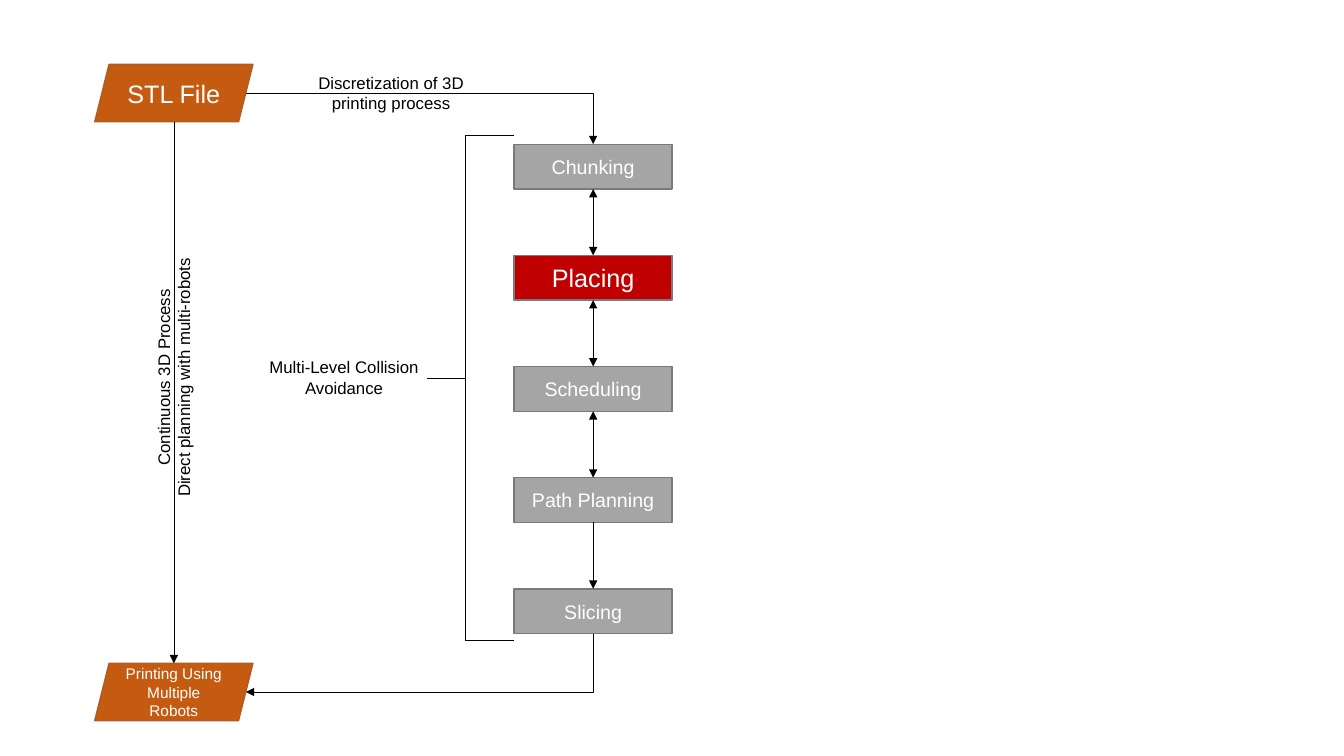
from pptx import Presentation
from pptx.dml.color import RGBColor
from pptx.enum.shapes import MSO_CONNECTOR, MSO_SHAPE
from pptx.enum.text import MSO_ANCHOR, MSO_AUTO_SIZE, PP_ALIGN
from pptx.oxml.ns import qn
from pptx.util import Pt
from lxml.etree import SubElement

HUES = {"orange": "C55A11", "rust": "AF5C24", "gray": "A5A5A5",
        "edge": "7A7A7A", "red": "C00000", "white": "FFFFFF", "black": "000000"}


def write(shape, text, size, hue):
    frame = shape.text_frame
    frame.word_wrap = True
    frame.text = text
    for para in frame.paragraphs:
        para.alignment = PP_ALIGN.CENTER
        for run in para.runs:
            run.font.size = Pt(size)
            run.font.name = "Arial"
            run.font.color.rgb = RGBColor.from_string(HUES[hue])


def link(shapes, ends, tips=(), kind=MSO_CONNECTOR.STRAIGHT):
    line = shapes.add_connector(kind, *[Pt(end) for end in ends])
    line.line.width = Pt(0.5)
    line.line.color.rgb = RGBColor.from_string(HUES["black"])
    props = line._element.spPr
    for tip in tips:
        SubElement(props.find(qn("a:ln")), qn(tip), type="triangle")
    SubElement(props, qn("a:effectLst"))
    if kind == MSO_CONNECTOR.ELBOW:
        props.find(qn("a:prstGeom")).set("prst", "bentConnector2")
    return line


deck = Presentation()
deck.slide_width, deck.slide_height = Pt(960), Pt(540)
shapes = deck.slides.add_slide(deck.slide_layouts[6]).shapes

# Layout of the two columns
wide = 113
file_x, file_h, file_y, print_y = 67.7, 41, 46, 473.8
step_x, step_h, step_y, pitch = 367.2, 32, 103, 79.4
file_mid, step_mid = file_x + wide / 2, step_x + wide / 2
side_x = 175.6

# Input, output and process steps
nodes = [("STL File", file_y, 18), ("Printing Using Multiple Robots", print_y, 11)]
nodes = [(MSO_SHAPE.PARALLELOGRAM, file_x, y, file_h, text, size, "orange", "rust")
         for text, y, size in nodes]
steps = ["Chunking", "Placing", "Scheduling", "Path Planning", "Slicing"]
for row, name in enumerate(steps):
    size, hue = (18, "red") if name == "Placing" else (14, "gray")
    nodes.append((MSO_SHAPE.RECTANGLE, step_x, step_y + row * pitch, step_h,
                  name, size, hue, "edge"))

boxes = []
for kind, x, y, high, text, size, hue, edge in nodes:
    box = shapes.add_shape(kind, Pt(x), Pt(y), Pt(wide), Pt(high))
    box.shadow.inherit = False
    box.fill.solid()
    box.fill.fore_color.rgb = RGBColor.from_string(HUES[hue])
    box.line.color.rgb = RGBColor.from_string(HUES[edge])
    box.line.width = Pt(1)
    box.text_frame.vertical_anchor = MSO_ANCHOR.MIDDLE
    write(box, text, size, "white")
    boxes.append(box)

# Arrows between steps, two-way except the last
chain = boxes[2:]
for row, (upper, lower) in enumerate(zip(chain, chain[1:])):
    top = step_y + row * pitch
    tips = ["a:tailEnd"] if lower is chain[-1] else ["a:headEnd", "a:tailEnd"]
    arrow = link(shapes, (step_mid, top + step_h, step_mid, top + pitch), tips)
    arrow.begin_connect(upper, 2)
    arrow.end_connect(lower, 0)

# Direct arrow from file to print
link(shapes, (file_mid, file_y + file_h, file_mid, print_y), ["a:tailEnd"])

# Bent arrow into the first step
link(shapes, (side_x, file_y + file_h / 2, step_mid, step_y),
     ["a:tailEnd"], MSO_CONNECTOR.ELBOW)

# Bent arrow out of the last step, turned a quarter
last_y = step_y + 4 * pitch + step_h
drop, run = print_y + file_h / 2 - last_y, step_mid - side_x
mid_x, mid_y = side_x + run / 2, last_y + drop / 2
bend = link(shapes, (mid_x - drop / 2, mid_y - run / 2, mid_x + drop / 2, mid_y + run / 2),
            ["a:tailEnd"], MSO_CONNECTOR.ELBOW)
bend._element.spPr.find(qn("a:xfrm")).set("rot", "5400000")

# Bracket around the steps
group = shapes.add_group_shape()
spine, top, base, stem = 332.3, 96.7, 457.4, 270
for ends in [(step_x, top, spine, top), (step_x, base, spine, base),
             (spine, top, spine, base), (spine, stem, 304.9, stem)]:
    link(group.shapes, ends)

# Labels
labels = [("Discretization of 3D printing process", 199.4, 48.5, 160, 0),
          ("Multi-Level Collision Avoidance", 165.8, 251.6, 160, 0),
          ("Continuous 3D Process\nDirect planning with multi-robots", 21.9, 251.6, 204, 270)]
for text, x, y, span, turn in labels:
    label = shapes.add_textbox(Pt(x), Pt(y), Pt(span), Pt(36))
    label.rotation = turn
    write(label, text, 12, "black")
    label.text_frame.auto_size = MSO_AUTO_SIZE.SHAPE_TO_FIT_TEXT

deck.save("out.pptx")
